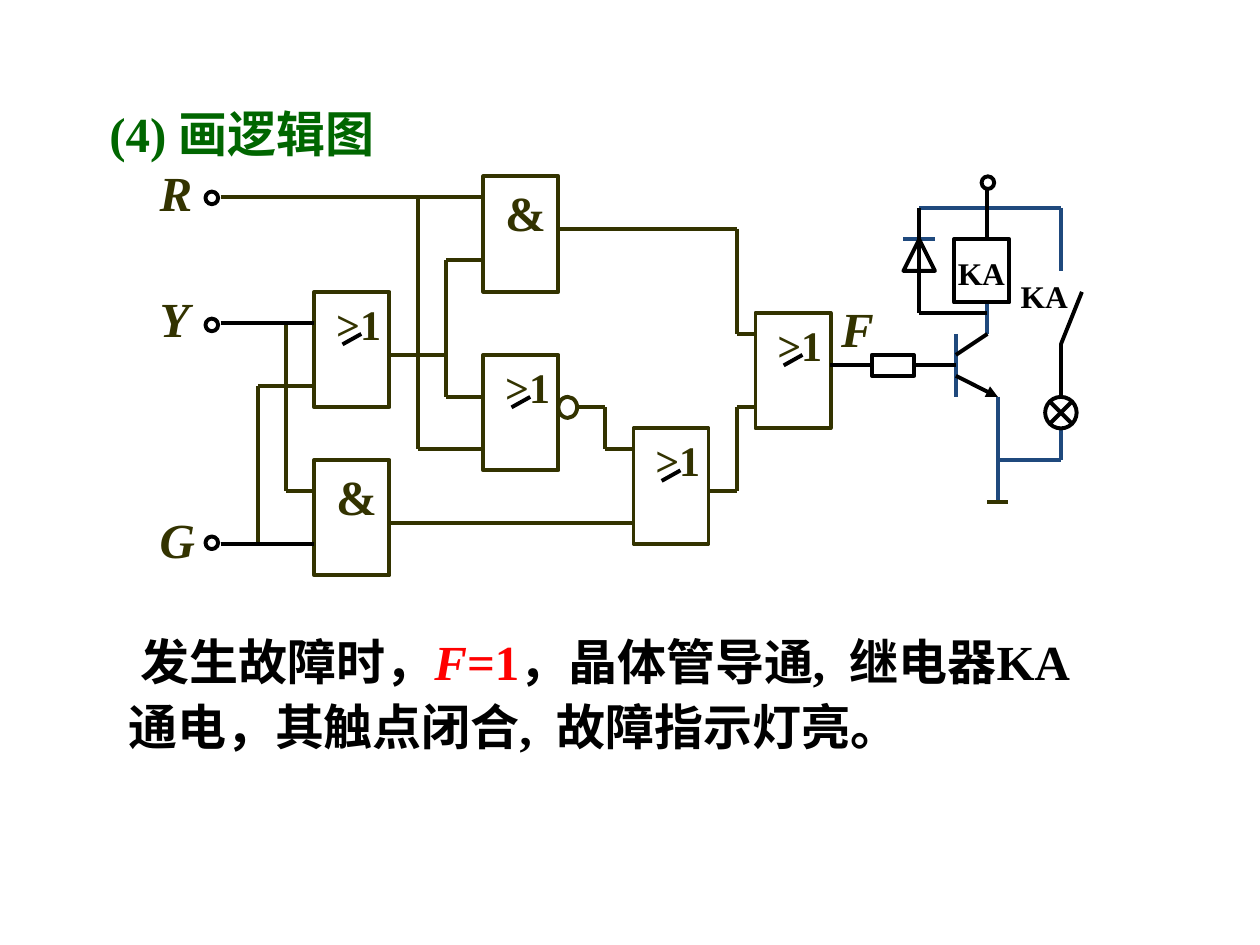
import itertools
from dataclasses import dataclass

import pptx
import pptx.dml.color
import pptx.enum.dml
import pptx.enum.shapes
import pptx.util
from lxml import etree
from pptx.oxml.ns import qn

SHAPE = pptx.enum.shapes.MSO_SHAPE
Inches = pptx.util.Inches


@dataclass(frozen=True)
class Theme:
    font: str = "Times New Roman"
    title: str = "006600"
    logic: str = "333300"
    ink: str = "000000"
    supply: str = "1F497D"
    accent: str = "FF0000"
    large: int = 28
    medium: int = 24
    small: int = 18
    stroke: float = 2.25


@dataclass(frozen=True)
class Grid:
    """Origin and cell size, in inches."""
    left: float
    top: float
    column: float
    row: float

    def x(self, columns):
        return Inches(self.left + columns * self.column)

    def y(self, rows):
        return Inches(self.top + rows * self.row)

    def box(self, column, row, columns, rows):
        return (self.x(column), self.y(row),
                Inches(columns * self.column), Inches(rows * self.row))


THEME = Theme()
PAGE = Grid(0, 0, 1, 1)
LOGIC = Grid(1.75, 1.4, 0.0745, 1 / 12)
RELAY = Grid(6.92, 1.4, 1 / 12, 1 / 12)


def rgb(color):
    return pptx.dml.color.RGBColor.from_string(color)


def add_text(paragraph, text, *, size=THEME.large, color=THEME.ink, italic=False, tracking=0):
    run = paragraph.add_run()
    run.text = text
    font = run.font
    font.name, font.size = THEME.font, pptx.util.Pt(size)
    font.bold, font.italic = True, italic
    font.color.rgb = rgb(color)
    if tracking:
        run.font._element.set("spc", str(tracking * 100))


class Circuit:
    def __init__(self, slide, theme):
        self.slide = slide
        self.theme = theme
        self.grid = PAGE

    def text_box(self, box, *, wrap=True, indent=0):
        """Add a text box and return its first paragraph."""
        frame = self.slide.shapes.add_textbox(*self.grid.box(*box)).text_frame
        frame.word_wrap = wrap
        paragraph = frame.paragraphs[0]
        if indent:
            paragraph._p.get_or_add_pPr().set("indent", str(Inches(indent)))
        return paragraph

    def label(self, text, box, *, wrap=True, **text_format):
        add_text(self.text_box(box, wrap=wrap), text, **text_format)

    def signal(self, name, column, row):
        self.label(name, (column, row, 9, 6.8), color=self.theme.logic, italic=True)

    def outline(self, kind, box, color):
        shape = self.slide.shapes.add_shape(kind, *self.grid.box(*box))
        shape.shadow.inherit = False
        shape.fill.background()
        shape.line.color.rgb = rgb(color)
        shape.line.width = pptx.util.Pt(self.theme.stroke)

    def wire(self, color, *points, arrow=False):
        """Join the grid points in turn with straight lines."""
        for start, end in itertools.pairwise(points):
            line = self.slide.shapes.add_connector(
                pptx.enum.shapes.MSO_CONNECTOR.STRAIGHT,
                self.grid.x(start[0]), self.grid.y(start[1]),
                self.grid.x(end[0]), self.grid.y(end[1]))
            line.line.color.rgb = rgb(color)
            line.line.width = pptx.util.Pt(self.theme.stroke)
            properties = line._element.spPr
            if arrow:
                etree.SubElement(properties.find(qn("a:ln")), qn("a:tailEnd"), type="triangle")
            etree.SubElement(properties, qn("a:effectLst"))

    def gate(self, function, column, row):
        theme = self.theme
        self.outline(SHAPE.RECTANGLE, (column, row, 8, 11), theme.logic)
        if function == "AND":
            self.label("&", (column + 1, row, 6, 6.8), color=theme.logic)
        else:
            self.label(">1", (column + 1, row, 9, 6), size=theme.medium, color=theme.logic)
            self.wire(theme.ink, (column + 5, row + 4), (column + 3, row + 5))


def draw_logic(circuit):
    circuit.grid = LOGIC
    for function, column, row in [("AND", 28, 0), ("OR", 28, 17), ("OR", 10, 11),
                                  ("AND", 10, 27), ("OR", 44, 24), ("OR", 57, 13)]:
        circuit.gate(function, column, row)
    circuit.outline(SHAPE.OVAL, (36, 21, 2, 2), THEME.logic)

    for name, label_row, terminal_row in [("R", -1.9, 1.45), ("Y", 10.1, 13.55),
                                          ("G", 31.1, 34.3)]:
        circuit.signal(name, -7.8, label_row)
        circuit.outline(SHAPE.OVAL, (-1.6, terminal_row, 1.35, 1.2), THEME.ink)
    circuit.signal("F", 64.8, 11)

    for points in [
        [(0, 2), (28, 2)],
        [(21, 2), (21, 26), (28, 26)],
        [(4, 35), (4, 20), (10, 20)],
        [(7, 14), (7, 30), (10, 30)],
        [(18, 17), (24, 17)],
        [(28, 8), (24, 8), (24, 21), (28, 21)],
        [(18, 33), (44, 33)],
        [(38, 22), (41, 22), (41, 26), (44, 26)],
        [(52, 30), (55, 30), (55, 22), (57, 22)],
        [(36, 5), (55, 5), (55, 15), (57, 15)],
    ]:
        circuit.wire(THEME.logic, *points)
    for row in (14, 35):
        circuit.wire(THEME.ink, (0, row), (10, row))


def draw_relay(circuit):
    circuit.grid = RELAY
    for points in [
        [(8, 15), (8, 21)],
        [(12, 21), (12, 31)],
        [(11, 12), (11, 15)],
        [(3, 6), (6, 6)],
        [(4.5, 3), (18, 3), (18, 9)],
        [(18, 24), (18, 27), (12, 27)],
    ]:
        circuit.wire(THEME.supply, *points)
    for points in [
        [(-4, 18), (0, 18)],
        [(4, 18), (8, 18)],
        [(8, 17), (11, 15)],
        [(11, 1.1), (11, 6)],
        [(4.5, 3), (4.5, 13), (11, 13)],
        [(20, 11), (18, 16), (18, 21)],
    ]:
        circuit.wire(THEME.ink, *points)
    circuit.wire(THEME.ink, (8, 19), (12, 21), arrow=True)
    circuit.wire(THEME.logic, (11, 31), (13, 31))

    for kind, box in [
        (SHAPE.RECTANGLE, (0, 17, 4, 2)),
        (SHAPE.RECTANGLE, (7.8, 6, 5.3, 6)),
        (SHAPE.ISOSCELES_TRIANGLE, (3, 6, 3, 3)),
        (SHAPE.OVAL, (10.45, 0, 1.2, 1.2)),
        (SHAPE.FLOWCHART_SUMMING_JUNCTION, (16.5, 21, 3, 3)),
    ]:
        circuit.outline(kind, box, THEME.ink)
    circuit.label("KA", (7, 6.85, 8, 4.8), size=THEME.small)
    circuit.label("KA", (13, 9, 7, 4.8), size=THEME.small, wrap=False)


def write_texts(circuit):
    circuit.grid = PAGE
    heading = circuit.text_box((0.67, 0.77, 2.41, 0.57), indent=0.1)
    add_text(heading, "(4) 画逻辑图", color=THEME.title)

    summary = circuit.text_box((0.92, 4.92, 8, 1.13), indent=0.1)
    summary.line_spacing = 1.1
    add_text(summary, "发生故障时，")
    add_text(summary, "F", color=THEME.accent, italic=True)
    add_text(summary, "=1", color=THEME.accent)
    for clause in ("，晶体管导通,", "继电器KA通电，其触点闭合,"):
        add_text(summary, clause)
        add_text(summary, " ", tracking=7)
    add_text(summary, "故障指示灯亮。")


def main():
    deck = pptx.Presentation()
    deck.slide_width, deck.slide_height = Inches(10), Inches(7.5)
    circuit = Circuit(deck.slides.add_slide(deck.slide_layouts[6]), THEME)
    write_texts(circuit)
    draw_logic(circuit)
    draw_relay(circuit)
    deck.save("out.pptx")


if __name__ == "__main__":
    main()
